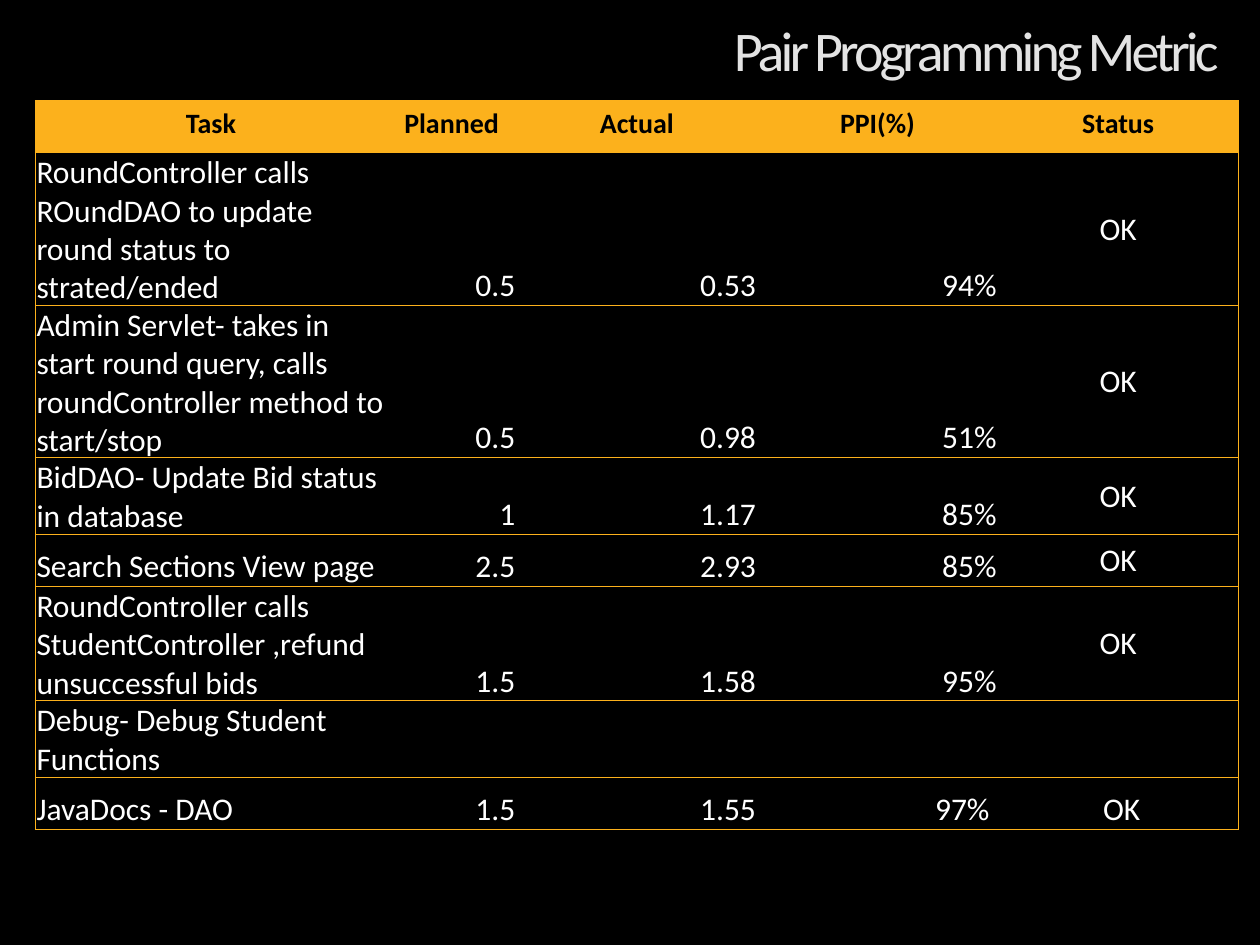
import dataclasses

import lxml.etree
import pptx
import pptx.dml.color
import pptx.enum.text
import pptx.oxml.ns
import pptx.util

ALIGN = pptx.enum.text.PP_ALIGN
ANCHOR = pptx.enum.text.MSO_ANCHOR
SLIDE_WIDTH = 10
SLIDE_HEIGHT = 7.5
COLUMN = 1.91
COLUMN_SHARES = (1.46, 0.54, 1, 1, 1)
ROW = 0.41
FONT = "Calibri"
BLACK, WHITE, AMBER, SILVER = "000000", "FFFFFF", "FCB11C", "E3E3E3"


@dataclasses.dataclass
class Task:
    name: str
    planned: str = ""
    actual: str = ""
    ppi: str = ""
    status: str = ""
    status_anchor: ANCHOR = ANCHOR.MIDDLE


@dataclasses.dataclass
class CellLook:
    align: ALIGN
    anchor: ANCHOR
    size: float = 18
    color: str = WHITE
    bold: bool = False


HEADINGS = ("Task", "Planned", "Actual", "PPI(%)", "Status")
TASKS = (
    Task("RoundController calls ROundDAO to update round status to strated/ended", "0.5", "0.53", "94%", "OK"),
    Task("Admin Servlet- takes in start round query, calls roundController method to start/stop",
         "0.5", "0.98", "51%", "OK"),
    Task("BidDAO- Update Bid status in database", "1", "1.17", "85%", "OK"),
    Task("Search Sections View page", "2.5", "2.93", "85%", "OK"),
    Task("RoundController calls StudentController ,refund unsuccessful bids", "1.5", "1.58", "95%", "OK"),
    Task("Debug- Debug Student Functions"),
    Task("JavaDocs - DAO", " 1.5", " 1.55", "97% ", " OK", ANCHOR.BOTTOM),
)


def rgb(color: str) -> pptx.dml.color.RGBColor:
    return pptx.dml.color.RGBColor.from_string(color)


def style_font(font, size: float, color: str, bold: bool = False) -> None:
    font.name = FONT
    font.size = pptx.util.Pt(size)
    font.bold = bold
    font.color.rgb = rgb(color)


def draw_borders(cell, outer_left: bool, outer_right: bool) -> None:
    properties = cell._tc.get_or_add_tcPr()
    edges = {"a:lnL": outer_left, "a:lnR": outer_right, "a:lnT": True, "a:lnB": True}
    for tag, visible in edges.items():
        line = lxml.etree.SubElement(properties, pptx.oxml.ns.qn(tag), w=str(pptx.util.Pt(0.5)))
        if visible:
            fill = lxml.etree.SubElement(line, pptx.oxml.ns.qn("a:solidFill"))
            lxml.etree.SubElement(fill, pptx.oxml.ns.qn("a:srgbClr"), val=AMBER)
        else:
            lxml.etree.SubElement(line, pptx.oxml.ns.qn("a:noFill"))


def fill_cell(cell, text: str, look: CellLook) -> None:
    cell.vertical_anchor = look.anchor
    paragraph = cell.text_frame.paragraphs[0]
    paragraph.text = text
    paragraph.alignment = look.align
    style_font(paragraph.font, look.size, look.color, look.bold)
    for run in paragraph.runs:
        style_font(run.font, look.size, look.color, look.bold)


def draw_title(slide) -> None:
    title = slide.shapes.add_textbox(*map(pptx.util.Inches, (1.15, -0.3, 8.62, 1.45)))
    frame = title.text_frame
    frame.word_wrap = True
    frame.vertical_anchor = ANCHOR.MIDDLE
    frame.text = "Pair Programming Metric"
    paragraph = frame.paragraphs[0]
    paragraph.alignment = ALIGN.RIGHT
    paragraph.line_spacing = 0.9
    run = paragraph.runs[0]
    style_font(run.font, 32, SILVER)
    run._r.get_or_add_rPr().set("spc", "-220")


def draw_metric(slide) -> None:
    row_count = len(TASKS) + 1
    last = len(HEADINGS) - 1
    bounds = (0.28, 0.8, COLUMN * sum(COLUMN_SHARES), ROW * row_count)
    metric = slide.shapes.add_table(row_count, len(HEADINGS), *map(pptx.util.Inches, bounds)).table
    metric.horz_banding = False
    for column, share in zip(metric.columns, COLUMN_SHARES):
        column.width = pptx.util.Inches(COLUMN * share)
    for row in metric.rows:
        row.height = pptx.util.Inches(ROW)

    heading_look = CellLook(ALIGN.CENTER, ANCHOR.TOP, 16, BLACK, True)
    for index, heading in enumerate(HEADINGS):
        cell = metric.cell(0, index)
        draw_borders(cell, index == 0, index == last)
        cell.fill.solid()
        cell.fill.fore_color.rgb = rgb(AMBER)
        fill_cell(cell, heading, heading_look)

    for row_index, task in enumerate(TASKS, 1):
        values = (task.name, task.planned, task.actual, task.ppi, task.status)
        number_look = CellLook(ALIGN.RIGHT, ANCHOR.BOTTOM)
        looks = (CellLook(ALIGN.LEFT, ANCHOR.BOTTOM), number_look, number_look, number_look,
                 CellLook(ALIGN.CENTER, task.status_anchor))
        for index, (value, look) in enumerate(zip(values, looks)):
            cell = metric.cell(row_index, index)
            draw_borders(cell, index == 0, index == last)
            cell.fill.background()
            if value:
                cell.margin_left = cell.margin_right = cell.margin_top = pptx.util.Inches(0.01)
                cell.margin_bottom = 0
            fill_cell(cell, value, look)


def main() -> None:
    deck = pptx.Presentation()
    deck.slide_width = pptx.util.Inches(SLIDE_WIDTH)
    deck.slide_height = pptx.util.Inches(SLIDE_HEIGHT)
    slide = deck.slides.add_slide(deck.slide_layouts[6])
    slide.background.fill.solid()
    slide.background.fill.fore_color.rgb = rgb(BLACK)
    draw_title(slide)
    draw_metric(slide)
    deck.save("out.pptx")


if __name__ == "__main__":
    main()
